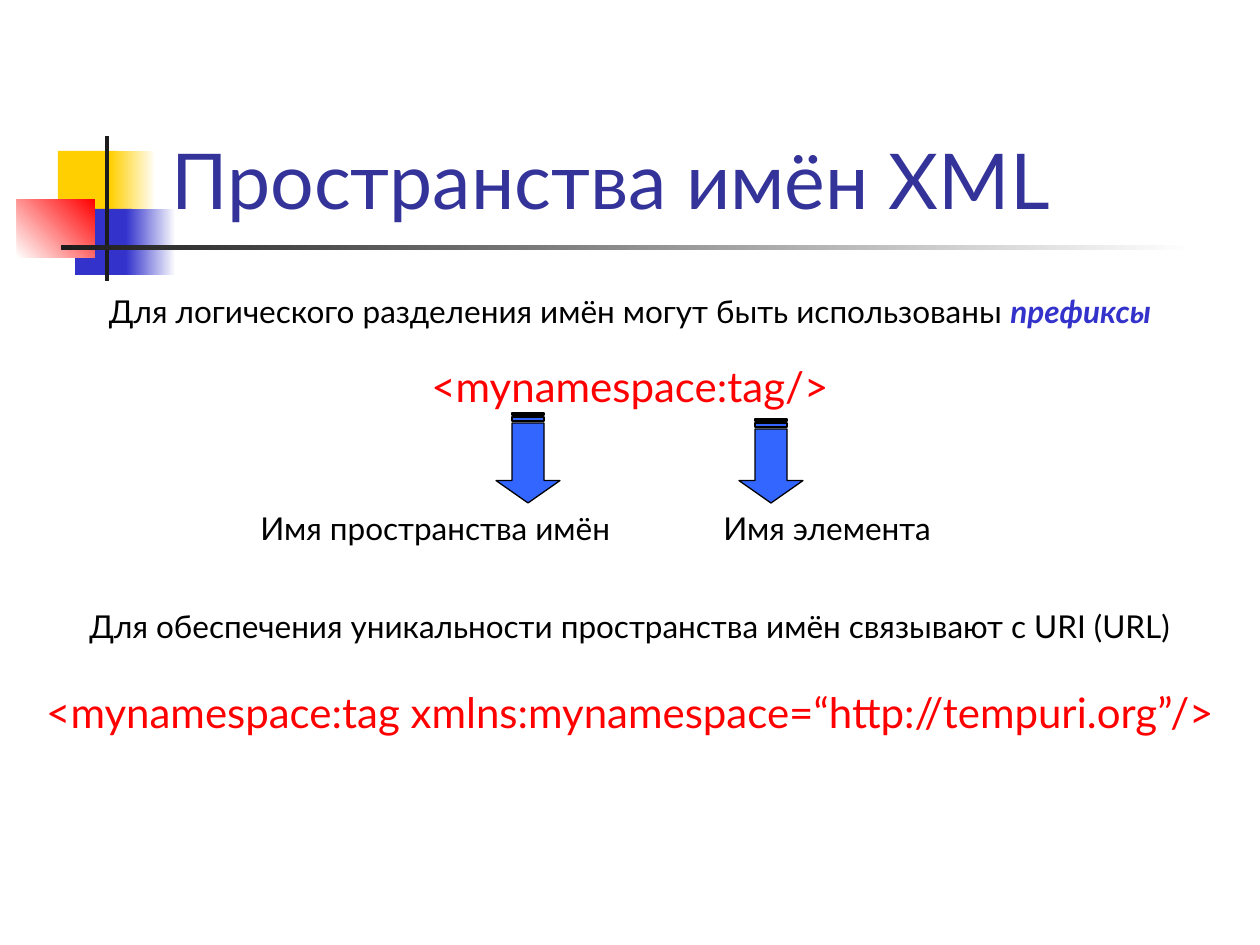
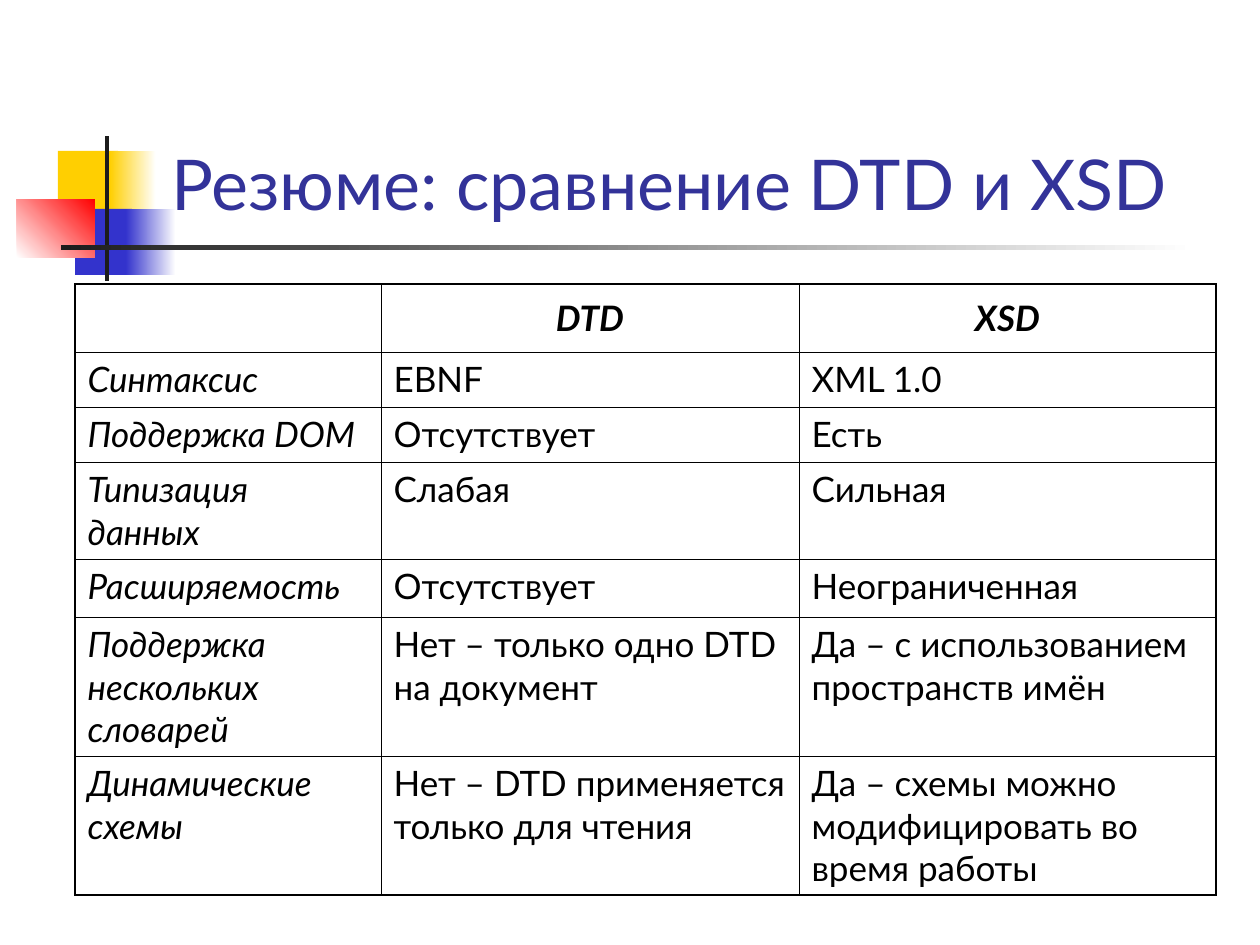
import dataclasses
import pptx
import pptx.dml.color
import pptx.enum.shapes
import pptx.enum.text
import pptx.oxml
import pptx.oxml.ns
import pptx.util


@dataclasses.dataclass(frozen=True)
class Theme:
    font: str = "Lato"
    title: str = "333399"
    ink: str = "000000"
    code: str = "FF0000"
    blue: str = "3333CC"
    gold: str = "FFCF01"
    red: str = "FF0000"
    dark: str = "1C1C1C"
    white: str = "FFFFFF"
    arrow: str = "3366FF"
    body: int = 18
    mark: int = 24
    grid: int = 20
    thin: float = 0.45
    thick: float = 1.08


theme = Theme()
rgb = pptx.dml.color.RGBColor.from_string
kinds = pptx.enum.shapes.MSO_SHAPE
align = pptx.enum.text.PP_ALIGN
anchor = pptx.enum.text.MSO_ANCHOR
scale = 914400 / 126


def px(*sizes):
    return [pptx.util.Emu(round(size * scale)) for size in sizes]


def write(text, frame, size=theme.body, color=theme.ink, bold=False, italic=False, side=align.LEFT):
    line = frame.paragraphs[0]
    line.alignment = side
    run = line.add_run()
    run.text = text
    run.font.name = theme.font
    run.font.size = pptx.util.Pt(size)
    run.font.color.rgb = rgb(color)
    run.font.bold = bold
    run.font.italic = italic


deck = pptx.Presentation()
deck.slide_width, deck.slide_height = px(1260, 945)

decor = [
    (58, 151, 60, 66, theme.gold, None, 0),
    (110, 151, 46, 66, theme.gold, theme.white, 0),
    (75, 209, 57, 66, theme.blue, None, 0),
    (126, 209, 50, 66, theme.blue, theme.white, 0),
    (17, 199, 78, 59, theme.white, theme.red, 45),
    (105, 136, 4, 145, theme.dark, None, 0),
    (61, 245, 1134, 5, theme.dark, theme.white, 0),
]

slides = []
for title, size in [("Пространства имён XML", 44), ("Резюме: сравнение DTD и XSD", 40)]:
    slide = deck.slides.add_slide(deck.slide_layouts[6])
    slides.append(slide)
    for left, top, width, height, start, end, angle in decor:
        block = slide.shapes.add_shape(kinds.RECTANGLE, *px(left, top, width, height))
        block.shadow.inherit = False
        block.line.fill.background()
        if end:
            block.fill.gradient()
            block.fill.gradient_angle = angle
            for stop, color in zip(block.fill.gradient_stops, (start, end)):
                stop.color.rgb = rgb(color)
        else:
            block.fill.solid()
            block.fill.fore_color.rgb = rgb(start)
    frame = slide.shapes.add_textbox(*px(159, 29, 1074, 202)).text_frame
    frame.word_wrap = True
    frame.vertical_anchor = anchor.BOTTOM
    write(title, frame, size=size, color=theme.title)

names, summary = slides

plain = dict(side=align.CENTER)
code = dict(side=align.CENTER, size=theme.mark, color=theme.code)
key = dict(side=align.CENTER, color=theme.blue, bold=True, italic=True)
lines = [
    (0, 286, 1260, 50, [("Для логического разделения имён могут быть использованы ", plain), ("префиксы", key)]),
    (0, 354, 1260, 63, [("<mynamespace:tag/>", code)]),
    (0, 601, 1260, 50, [("Для обеспечения уникальности пространства имён связывают с URI (URL)", plain)]),
    (0, 680, 1260, 113, [("<mynamespace:tag xmlns:mynamespace=“http://tempuri.org”/>", code)]),
    (248, 503, 400, 50, [("Имя пространства имён", {})]),
    (711, 503, 244, 50, [("Имя элемента", {})]),
]
for left, top, width, height, parts in lines:
    frame = names.shapes.add_textbox(*px(left, top, width, height)).text_frame
    frame.word_wrap = True
    for text, style in parts:
        write(text, frame, **style)

tip = 503
wide = 64
for middle, length in [(528, 90), (771, 84)]:
    spot = px(middle - length / 2, tip - length / 2 - wide / 2, length, wide)
    arrow = names.shapes.add_shape(kinds.STRIPED_RIGHT_ARROW, *spot)
    arrow.rotation = 90
    arrow.adjustments[0] = 0.5
    arrow.adjustments[1] = 0.35
    arrow.shadow.inherit = False
    arrow.fill.solid()
    arrow.fill.fore_color.rgb = rgb(theme.arrow)
    arrow.line.color.rgb = rgb(theme.ink)
    arrow.line.width = pptx.util.Pt(0.75)

rows = [
    ("", "DTD", "XSD"),
    ("Синтаксис", "EBNF", "XML 1.0"),
    ("Поддержка DOM", "Отсутствует", "Есть"),
    ("Типизация данных", "Слабая", "Сильная"),
    ("Расширяемость", "Отсутствует", "Неограниченная"),
    ("Поддержка нескольких словарей", "Нет – только одно DTD на документ", "Да – с использованием пространств имён"),
    ("Динамические схемы", "Нет – DTD применяется только для чтения", "Да – схемы можно модифицировать во время работы"),
]
widths = px(306, 418, 417)
heights = px(68, 55, 55, 97, 58, 139, 139)
table = summary.shapes.add_table(len(rows), len(widths), *px(75, 284, 1141, 611)).table
table.first_row = False
table.horz_banding = False
for column, width in zip(table.columns, widths):
    column.width = width
for row, height in zip(table.rows, heights):
    row.height = height

space = pptx.oxml.ns.nsdecls("a")
for y, row in enumerate(rows):
    for x, text in enumerate(row):
        cell = table.cell(y, x)
        head = y == 0
        cell.vertical_anchor = anchor.MIDDLE if head else anchor.TOP
        if text:
            write(text, cell.text_frame, size=theme.grid, bold=head, italic=head or x == 0,
                  side=align.CENTER if head else align.LEFT)
        edges = dict(L=x == 0, R=x == len(widths) - 1, T=head, B=y == len(rows) - 1)
        props = cell._tc.get_or_add_tcPr()
        for edge, outer in edges.items():
            weight = pptx.util.Pt(theme.thick if outer else theme.thin)
            props.append(pptx.oxml.parse_xml(
                f'<a:ln{edge} {space} w="{weight}"><a:solidFill>'
                f'<a:srgbClr val="{theme.ink}"/></a:solidFill></a:ln{edge}>'))
        cell.fill.background()

deck.save("out.pptx")
